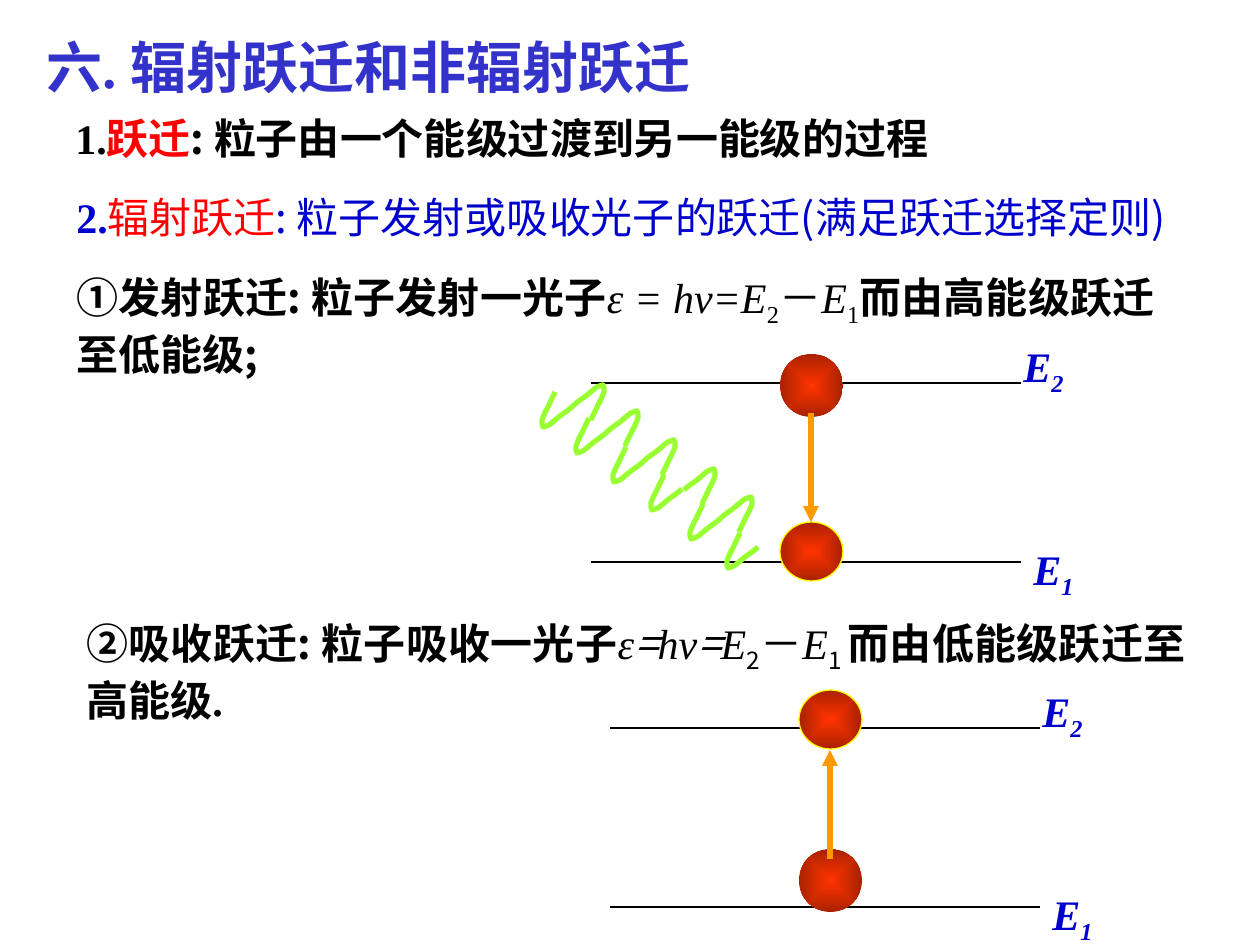
from dataclasses import dataclass
from typing import Optional

import pptx
import pptx.dml.color
import pptx.enum.shapes
import pptx.enum.text
import pptx.oxml.ns
import pptx.oxml.xmlchemy
import pptx.util
from lxml import etree

EMU_PER_PX = 914400 / 126
qn = pptx.oxml.ns.qn


@dataclass(frozen=True)
class Theme:
    serif: str = "Times New Roman"
    sans: str = "Noto Sans CJK SC"
    title: str = "3333CC"
    body: str = "000000"
    blue: str = "0000CC"
    term: str = "FF0000"
    ball_core: str = "FF3300"
    ball_edge: str = "A92200"
    ball_rim: str = "FFFF00"
    arrow: str = "FF9900"
    photon: str = "99FF33"
    title_size: int = 32
    body_size: int = 24
    thin: float = 0.75
    thick: float = 3


THEME = Theme()


@dataclass(frozen=True)
class Span:
    text: str
    font: str = THEME.serif
    color: str = THEME.body
    bold: bool = False
    italic: bool = False
    subscript: bool = False


@dataclass(frozen=True)
class Statement:
    left: int
    top: int
    width: int
    height: int
    spans: tuple[Span, ...]
    size: int = THEME.body_size
    justified: bool = True


@dataclass(frozen=True)
class Transition:
    """Two levels; ball and arrow heights are measured from the upper level."""
    left: int
    top: int
    start_ball: int
    end_ball: int
    arrow_from: int
    arrow_to: int


def bold(text: str, font: str = THEME.sans, color: str = THEME.body) -> Span:
    return Span(text, font, color, bold=True)


def symbol(text: str) -> Span:
    return Span(text, italic=True)


def sub(text: str, font: str = THEME.serif) -> Span:
    return Span(text, font, subscript=True)


HEADING = Statement(34, 26, 1197, 79, (
    bold("六. 辐射跃迁和非辐射跃迁", THEME.serif, THEME.title),), THEME.title_size, False)
DEFINITION = Statement(63, 106, 1197, 63, (
    bold("1.", THEME.serif), bold("跃迁", color=THEME.term),
    bold(": 粒子由一个能级过渡到另一能级的过程")))
RADIATIVE = Statement(64, 185, 1176, 63, (
    bold("2.", THEME.serif, THEME.blue), Span("辐射跃迁", THEME.sans, THEME.term),
    Span(": 粒子发射或吸收光子的跃迁(满足跃迁选择定则)", THEME.sans, THEME.blue)))
EMISSION_TEXT = Statement(64, 265, 1103, 113, (
    bold("①", THEME.serif), bold("发射跃迁: 粒子发射一光子"),
    symbol("ε = hv=E"), sub("2"), Span("－"), symbol("E"), sub("1"),
    bold("而由高能级跃迁至低能级;")))
EQUALS = Span("=", THEME.sans, italic=True)
ABSORPTION_TEXT = Statement(74, 611, 1124, 113, (
    bold("②", THEME.serif), bold("吸收跃迁: 粒子吸收一光子"),
    symbol("ε"), EQUALS, symbol("hv"), EQUALS, symbol("E"), sub("2", THEME.sans),
    Span("－", THEME.sans), symbol("E"), sub("1 ", THEME.sans),
    bold("而由低能级跃迁至高能级"), bold(".", THEME.serif)))

EMISSION = Transition(591, 383, start_ball=-29, end_ball=139, arrow_from=30, arrow_to=139)
ABSORPTION = Transition(610, 728, start_ball=121, end_ball=-38, arrow_from=131, arrow_to=22)
LEVEL_WIDTH, LEVEL_GAP = 430, 179
BALL_LEFT, BALL_SIZE, END_BALL_HEIGHT = 189, 63, 59

# Bezier points of a trough, measured from its right end; a crest is its point reflection.
TROUGH = ((-4, 4), (-9, 7), (-13, 10), (-18, 14), (-21, 17), (-24, 19),
          (-27, 20), (-29, 21), (-30, 21), (-31, 20), (-31, 18), (-31, 14),
          (-30, 11), (-28, 6), (-25, 1), (-23, -4), (-19, -11), (-18, -14))
TROUGH_ENDS = ((573, 406), (607, 432), (644, 461), (682, 489), (721, 518), (758, 547))
CREST_STARTS = ((573, 406), (607, 432), (644, 461), (684, 490), (721, 518))


def px(length: float) -> pptx.util.Emu:
    return pptx.util.Emu(round(length * EMU_PER_PX))


def rgb(color: str) -> pptx.dml.color.RGBColor:
    return pptx.dml.color.RGBColor.from_string(color)


def style_font(font, span: Span) -> None:
    font.name = span.font
    font.color.rgb = rgb(span.color)
    font.bold = span.bold
    font.italic = span.italic
    etree.SubElement(font._element, qn("a:ea"), typeface=THEME.sans)


def add_text(slide, left: int, top: int, width: int, height: int, size: int, wrap: bool):
    """Add an empty box and return its paragraph."""
    frame = slide.shapes.add_textbox(px(left), px(top), px(width), px(height)).text_frame
    frame.word_wrap = wrap
    frame.auto_size = pptx.enum.text.MSO_AUTO_SIZE.SHAPE_TO_FIT_TEXT
    paragraph = frame.paragraphs[0]
    paragraph.font.size = pptx.util.Pt(size)
    return paragraph


def add_run(paragraph, text: str, subscript: bool):
    run = paragraph.add_run()
    run.text = text
    if subscript:
        run.font._element.set("baseline", "-25000")
    return run


def add_statement(slide, item: Statement) -> None:
    paragraph = add_text(slide, item.left, item.top, item.width, item.height, item.size, True)
    if item.justified:
        paragraph.alignment = pptx.enum.text.PP_ALIGN.JUSTIFY
    for span in item.spans:
        style_font(add_run(paragraph, span.text, span.subscript).font, span)


def add_level_label(slide, left: int, top: int, number: str) -> None:
    paragraph = add_text(slide, left, top, 67, 63, THEME.body_size, False)
    style_font(paragraph.font, Span("", color=THEME.blue, bold=True, italic=True))
    add_run(paragraph, "E", False)
    add_run(paragraph, number, True)


def add_line(slide, x1: int, y1: int, x2: int, y2: int, color: str, weight: float,
             arrow: bool = False) -> None:
    line = slide.shapes.add_connector(
        pptx.enum.shapes.MSO_CONNECTOR.STRAIGHT, px(x1), px(y1), px(x2), px(y2))
    line.line.color.rgb = rgb(color)
    line.line.width = pptx.util.Pt(weight)
    if arrow:
        etree.SubElement(line.line._get_or_add_ln(), qn("a:tailEnd"), type="triangle")
    etree.SubElement(line._element.spPr, qn("a:effectLst"))


def add_ball(slide, left: int, top: int, height: int, rim: Optional[str] = None) -> None:
    ball = slide.shapes.add_shape(
        pptx.enum.shapes.MSO_SHAPE.OVAL, px(left), px(top), px(BALL_SIZE), px(height))
    ball.shadow.inherit = False
    ball.fill.gradient()
    for stop, color in zip(ball.fill.gradient_stops, (THEME.ball_core, THEME.ball_edge)):
        stop.color.rgb = rgb(color)
    gradient = ball._element.spPr.find(qn("a:gradFill"))
    gradient.remove(gradient.find(qn("a:lin")))
    radial = etree.SubElement(gradient, qn("a:path"), path="shape")
    etree.SubElement(radial, qn("a:fillToRect"), dict.fromkeys("ltrb", "50000"))
    if rim:
        ball.line.color.rgb = rgb(rim)
        ball.line.width = pptx.util.Pt(THEME.thin)
    else:
        ball.line.fill.background()


def add_transition(slide, item: Transition) -> None:
    right, bottom = item.left + LEVEL_WIDTH, item.top + LEVEL_GAP
    for y in (bottom, item.top):
        add_line(slide, item.left, y, right, y, THEME.body, THEME.thin)
    add_level_label(slide, right - 10, item.top - 49, "2")
    add_level_label(slide, right, bottom - 25, "1")
    ball_left = item.left + BALL_LEFT
    add_ball(slide, ball_left, item.top + item.start_ball, BALL_SIZE)
    add_ball(slide, ball_left, item.top + item.end_ball, END_BALL_HEIGHT, THEME.ball_rim)
    middle = ball_left + BALL_SIZE // 2
    add_line(slide, middle, item.top + item.arrow_from, middle, item.top + item.arrow_to,
             THEME.arrow, THEME.thick, arrow=True)


def add_half_wave(slide, x: int, y: int, sign: int) -> None:
    """Draw a trough (sign 1) or crest (sign -1) with cubic curves."""
    builder = slide.shapes.build_freeform(x, y, scale=EMU_PER_PX)
    builder.add_line_segments([(x + sign * dx, y + sign * dy) for dx, dy in TROUGH], close=False)
    wave = builder.convert_to_shape()
    wave.shadow.inherit = False
    wave.fill.background()
    wave.line.color.rgb = rgb(THEME.photon)
    wave.line.width = pptx.util.Pt(THEME.thick)
    outline = next(wave._element.iter(qn("a:path")))
    for index, segment in enumerate(outline.findall(qn("a:lnTo"))):
        if index % 3 == 0:
            curve = etree.SubElement(outline, qn("a:cubicBezTo"))
        curve.append(segment[0])
        outline.remove(segment)


def main() -> None:
    deck = pptx.Presentation()
    deck.slide_width, deck.slide_height = px(1260), px(945)
    slide = deck.slides.add_slide(deck.slide_layouts[6])
    for item in (HEADING, DEFINITION, RADIATIVE, EMISSION_TEXT):
        add_statement(slide, item)
    add_transition(slide, EMISSION)
    for sign, nodes in ((1, TROUGH_ENDS), (-1, CREST_STARTS)):
        for x, y in nodes:
            add_half_wave(slide, x, y, sign)
    add_statement(slide, ABSORPTION_TEXT)
    add_transition(slide, ABSORPTION)
    deck.save("out.pptx")


if __name__ == "__main__":
    main()
